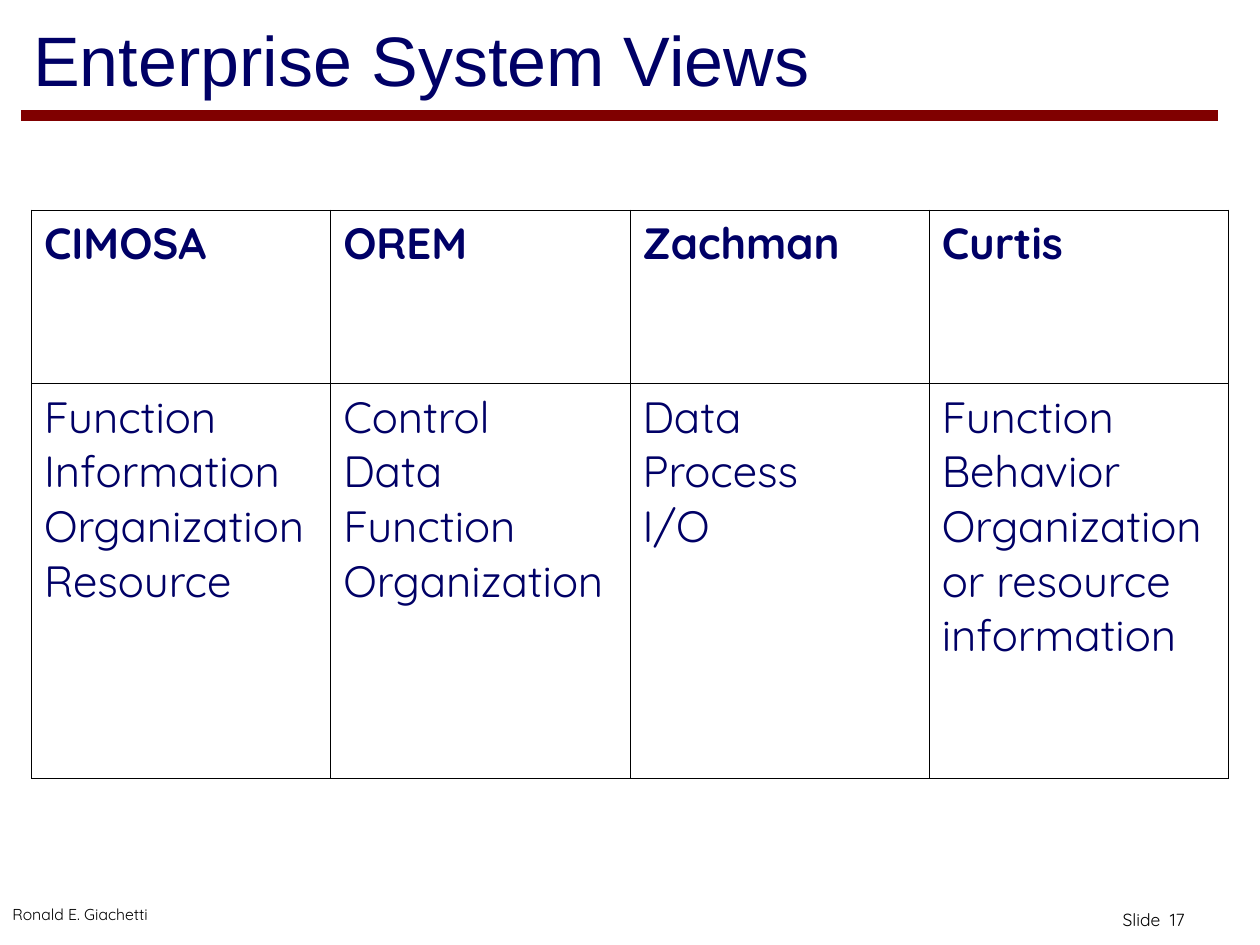
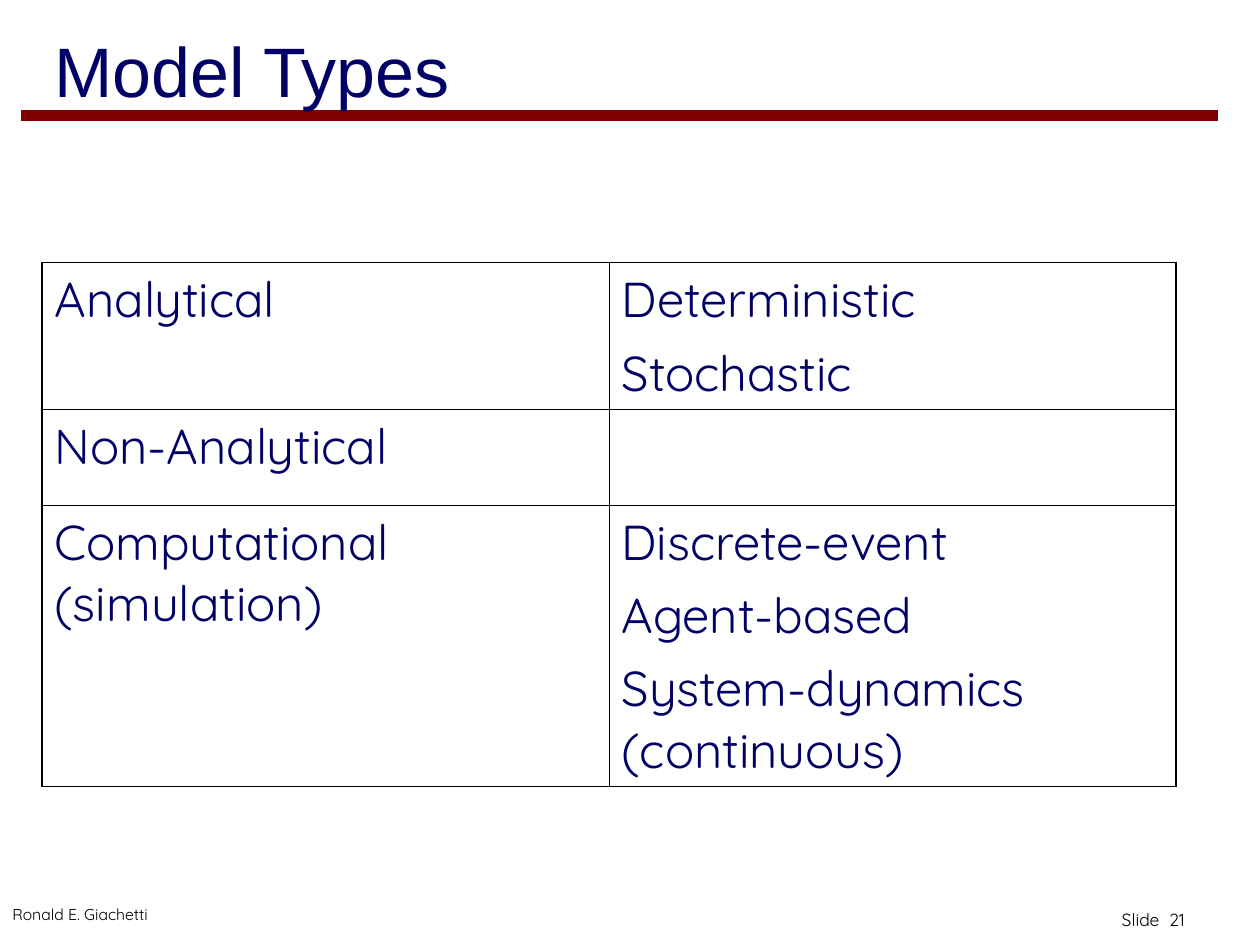
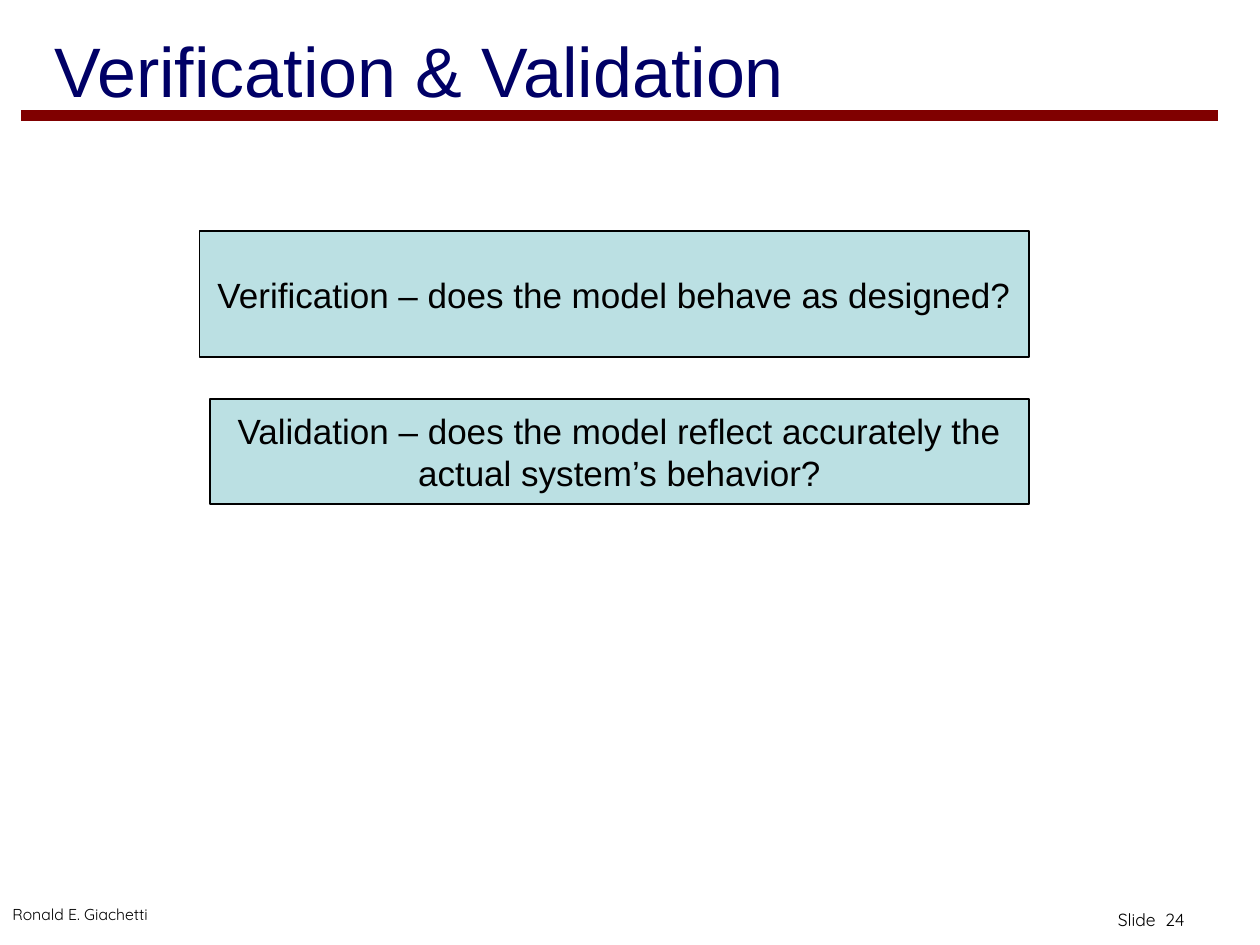
import dataclasses
import typing

import pptx
import pptx.dml.color
import pptx.enum.shapes
import pptx.enum.text
import pptx.oxml.ns
import pptx.presentation
import pptx.slide
import pptx.table
import pptx.text.text
import pptx.util
from lxml import etree

PX = 7620

NAVY = pptx.dml.color.RGBColor(0x00, 0x00, 0x66)
MAROON = pptx.dml.color.RGBColor(0x80, 0x00, 0x00)
PALE_TEAL = pptx.dml.color.RGBColor(0xBB, 0xE0, 0xE3)
BLACK = pptx.dml.color.RGBColor(0x00, 0x00, 0x00)

ALIGN = pptx.enum.text.PP_ALIGN
ANCHOR = pptx.enum.text.MSO_ANCHOR
CellLines = list[str]


@dataclasses.dataclass(frozen=True)
class Area:
    left: int
    top: int
    width: int
    height: int

    def emu(self) -> list[int]:
        return [px(length) for length in dataclasses.astuple(self)]


@dataclasses.dataclass(frozen=True)
class TextStyle:
    font: str
    size: int
    color: pptx.dml.color.RGBColor
    align: ALIGN = ALIGN.LEFT
    space_before: int = 0


@dataclasses.dataclass(frozen=True)
class Label:
    area: Area
    text: str
    style: TextStyle
    anchor: ANCHOR
    inset_bottom: int


@dataclasses.dataclass(frozen=True)
class Grid:
    area: Area
    row_heights: list[int]
    rows: list[list[CellLines]]
    style: TextStyle
    outer_border: float
    inner_border: float
    bold_header: bool = False


@dataclasses.dataclass(frozen=True)
class Question:
    area: Area
    text: str
    wrap: bool


TITLE = TextStyle("Arial", 40, NAVY)
AUTHOR = TextStyle("Quicksand", 9, BLACK)
NUMBER = TextStyle("Quicksand", 10, BLACK, ALIGN.RIGHT)
VIEWS = TextStyle("Quicksand", 25, NAVY, ALIGN.JUSTIFY)
MODELS = TextStyle("Quicksand", 28, NAVY, space_before=7)
QUESTION = TextStyle("Arial", 20, BLACK, ALIGN.CENTER)

ENTERPRISE_VIEWS = Grid(
    Area(30, 200, 1140, 541),
    [165, 376],
    [
        [["CIMOSA"], ["OREM"], ["Zachman"], ["Curtis"]],
        [
            ["Function", "Information", "Organization", "Resource"],
            ["Control", "Data", "Function", "Organization"],
            ["Data", "Process", "I/O"],
            ["Function", "Behavior", "Organization or resource", "information"],
        ],
    ],
    VIEWS,
    outer_border=0.45,
    inner_border=0.45,
    bold_header=True,
)

MODEL_TYPES = Grid(
    Area(40, 250, 1080, 499),
    [140, 91, 268],
    [
        [["Analytical"], ["Deterministic", "Stochastic"]],
        [["Non-Analytical"], []],
        [
            ["Computational (simulation)"],
            ["Discrete-event", "Agent-based", "System-dynamics (continuous)"],
        ],
    ],
    MODELS,
    outer_border=1.08,
    inner_border=0.45,
)

QUESTIONS = [
    Question(
        Area(190, 220, 790, 120),
        "Verification – does the model behave as designed?",
        wrap=False,
    ),
    Question(
        Area(200, 380, 780, 100),
        "Validation – does the model reflect accurately the actual system’s behavior?",
        wrap=True,
    ),
]


def px(length: int) -> pptx.util.Emu:
    return pptx.util.Emu(length * PX)


def write(
    frame: pptx.text.text.TextFrame, text: str, style: TextStyle, bold: bool = False
) -> None:
    frame.text = text
    for paragraph in frame.paragraphs:
        paragraph.alignment = style.align
        paragraph.space_before = pptx.util.Pt(style.space_before)
        for run in paragraph.runs:
            run.font.name = style.font
            run.font.size = pptx.util.Pt(style.size)
            run.font.color.rgb = style.color
            run.font.bold = bold


def draw_label(slide: pptx.slide.Slide, label: Label) -> None:
    frame = slide.shapes.add_textbox(*label.area.emu()).text_frame
    frame.word_wrap = True
    frame.vertical_anchor = label.anchor
    frame.margin_bottom = px(label.inset_bottom)
    write(frame, label.text, label.style)


def draw_title_rule(slide: pptx.slide.Slide) -> None:
    rule = slide.shapes.add_connector(
        pptx.enum.shapes.MSO_CONNECTOR.STRAIGHT, px(20), px(110), px(1160), px(110)
    )
    rule.line.color.rgb = MAROON
    rule.line.width = pptx.util.Pt(6)
    etree.SubElement(rule._element.spPr, pptx.oxml.ns.qn("a:effectLst"))


def add_slide(
    deck: pptx.presentation.Presentation, title: str, title_area: Area, number: int
) -> pptx.slide.Slide:
    slide = deck.slides.add_slide(deck.slide_layouts[6])
    draw_title_rule(slide)
    for label in (
        Label(Area(0, 838, 360, 62), "Ronald E. Giachetti", AUTHOR, ANCHOR.BOTTOM, 20),
        Label(Area(860, 820, 280, 66), f"Slide  {number}", NUMBER, ANCHOR.BOTTOM, 0),
        Label(title_area, title, TITLE, ANCHOR.TOP, 0),
    ):
        draw_label(slide, label)
    return slide


def set_borders(cell: pptx.table._Cell, widths: dict[str, float]) -> None:
    properties = cell._tc.get_or_add_tcPr()
    for side, width in widths.items():
        border = etree.SubElement(
            properties, pptx.oxml.ns.qn(f"a:ln{side}"), w=str(pptx.util.Pt(width))
        )
        fill = etree.SubElement(border, pptx.oxml.ns.qn("a:solidFill"))
        etree.SubElement(fill, pptx.oxml.ns.qn("a:srgbClr"), val=str(BLACK))


def draw_grid(slide: pptx.slide.Slide, grid: Grid) -> None:
    row_count, column_count = len(grid.rows), len(grid.rows[0])
    table = slide.shapes.add_table(row_count, column_count, *grid.area.emu()).table
    table.first_row = False
    table.horz_banding = False
    for column in table.columns:
        column.width = px(grid.area.width // column_count)

    def border(on_edge: bool) -> float:
        return grid.outer_border if on_edge else grid.inner_border

    for r, (height, row) in enumerate(zip(grid.row_heights, grid.rows)):
        table.rows[r].height = px(height)
        for c, lines in enumerate(row):
            cell = table.cell(r, c)
            set_borders(
                cell,
                {
                    "L": border(c == 0),
                    "R": border(c == column_count - 1),
                    "T": border(r == 0),
                    "B": border(r == row_count - 1),
                },
            )
            cell.fill.background()
            write(
                cell.text_frame, "\n".join(lines), grid.style,
                bold=grid.bold_header and r == 0,
            )


def draw_questions(slide: pptx.slide.Slide, questions: typing.Iterable[Question]) -> None:
    for question in questions:
        panel = slide.shapes.add_shape(
            pptx.enum.shapes.MSO_SHAPE.RECTANGLE, *question.area.emu()
        )
        panel.shadow.inherit = False
        panel.fill.solid()
        panel.fill.fore_color.rgb = PALE_TEAL
        panel.line.color.rgb = BLACK
        panel.line.width = pptx.util.Pt(0.75)
        panel.text_frame.word_wrap = question.wrap
        panel.text_frame.vertical_anchor = ANCHOR.MIDDLE
        write(panel.text_frame, question.text, QUESTION)


def main() -> None:
    deck = pptx.Presentation()
    deck.slide_width = px(1200)
    deck.slide_height = px(900)

    views = add_slide(deck, "Enterprise System Views", Area(20, 10, 1080, 94), 17)
    draw_grid(views, ENTERPRISE_VIEWS)

    models = add_slide(deck, "Model Types", Area(40, 20, 1080, 84), 21)
    draw_grid(models, MODEL_TYPES)

    checks = add_slide(deck, "Verification & Validation", Area(40, 20, 1080, 74), 24)
    draw_questions(checks, QUESTIONS)

    deck.save("out.pptx")


if __name__ == "__main__":
    main()
